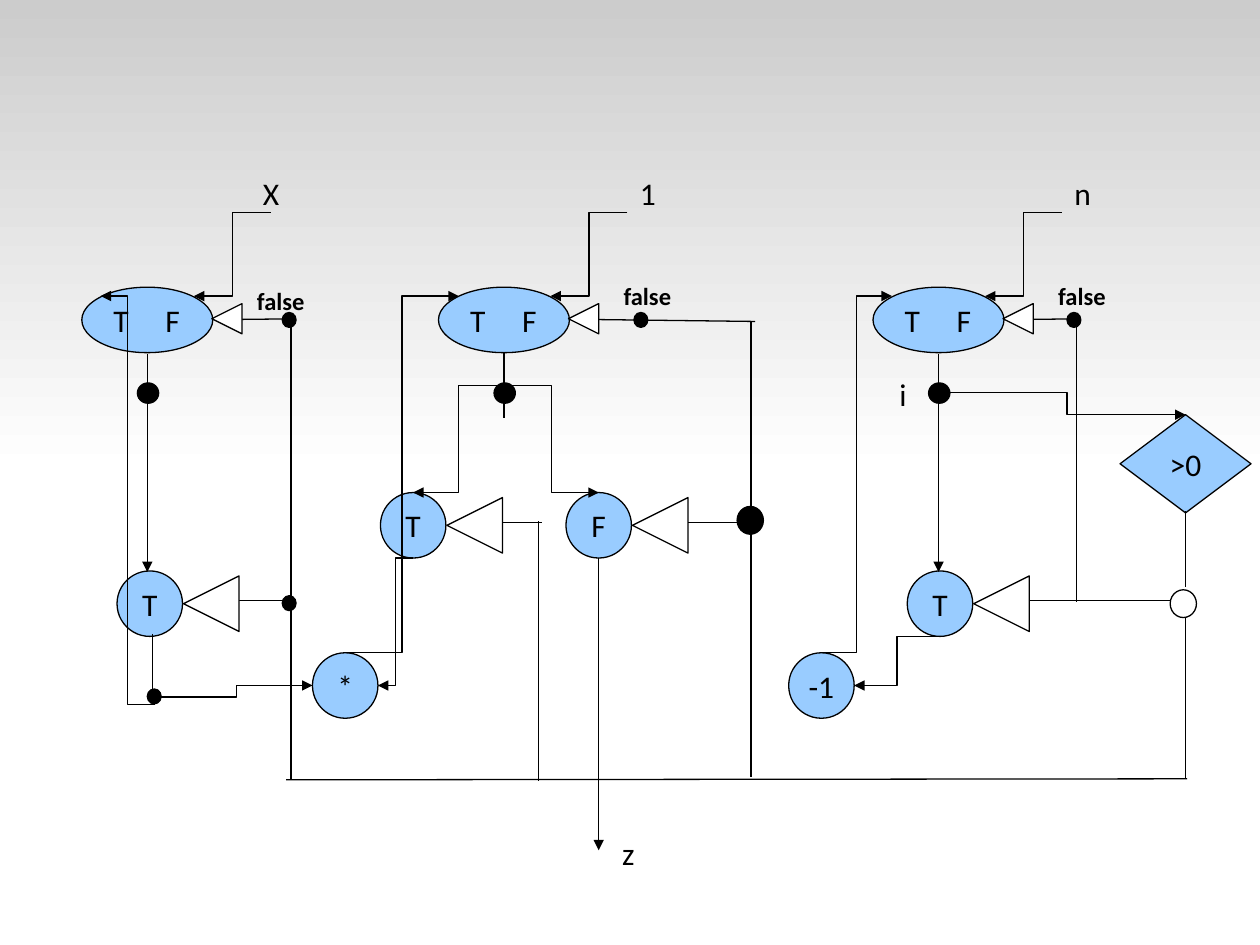
from dataclasses import dataclass
from typing import Any

from lxml import etree
from pptx import Presentation
from pptx import util as u
from pptx.dml import color
from pptx.enum import shapes, text
from pptx.oxml import ns

KIND = shapes.MSO_SHAPE
CIRCLE = 1.32
JUNCTION = (0.53, 0.56)


@dataclass(frozen=True)
class Theme:
    ink: str = "000000"
    node: str = "99CCFF"
    paper: str = "FFFFFF"
    shade: str = "CCCCCC"
    font: str = "Calibri"
    size: int = 18
    small: int = 14
    stroke: float = 0.75


THEME = Theme()


def rgb(value):
    return color.RGBColor.from_string(value)


def write(frame, words, size=THEME.size, bold=False):
    para = frame.paragraphs[0]
    para.text = words
    para.font.name = THEME.font
    para.font.size = u.Pt(size)
    para.font.bold = bold
    para.font.color.rgb = rgb(THEME.ink)
    return para


@dataclass
class Region:
    page: Any
    left: float
    top: float

    def place(self, x, y):
        return u.Cm(self.left + x), u.Cm(self.top + y)

    def shape(self, kind, x, y, width, height, fill=THEME.node):
        item = self.page.shapes.add_shape(
            kind, *self.place(x, y), u.Cm(width), u.Cm(height))
        item.shadow.inherit = False
        item.fill.solid()
        item.fill.fore_color.rgb = rgb(fill)
        item.line.color.rgb = rgb(THEME.ink)
        item.line.width = u.Pt(THEME.stroke)
        return item

    def node(self, words, x, y, kind=KIND.OVAL, width=CIRCLE, height=CIRCLE):
        frame = self.shape(kind, x, y, width, height).text_frame
        frame.word_wrap = False
        frame.vertical_anchor = text.MSO_ANCHOR.MIDDLE
        write(frame, words).alignment = text.PP_ALIGN.CENTER
        return frame

    def dot(self, x, y, size=(0.28, 0.3), fill=THEME.ink):
        self.shape(KIND.OVAL, x, y, *size, fill)

    def port(self, x, y, size):
        self.shape(KIND.ISOSCELES_TRIANGLE, x, y, size, size, THEME.paper).rotation = 270

    def wire(self, start, end, arrow=False, bent=False):
        kind = shapes.MSO_CONNECTOR.ELBOW if bent else shapes.MSO_CONNECTOR.STRAIGHT
        item = self.page.shapes.add_connector(kind, *self.place(*start), *self.place(*end))
        item.line.color.rgb = rgb(THEME.ink)
        item.line.width = u.Pt(THEME.stroke)
        if arrow:
            line = item.line._get_or_add_ln()
            etree.SubElement(line, ns.qn("a:tailEnd"), type="triangle")
        etree.SubElement(item._element.spPr, ns.qn("a:effectLst"))

    def route(self, start, end):
        self.wire(start, end, arrow=True, bent=True)

    def label(self, words, x, y, width=0.95, size=THEME.size, bold=False):
        box = self.page.shapes.add_textbox(*self.place(x, y), u.Cm(width), u.Cm(1.04))
        box.text_frame.word_wrap = True
        write(box.text_frame, words, size, bold)


def draw_merge(area, source, source_x, false_at, dot_x, lead=None):
    frame = area.node("T\tF", 0, 0, width=2.64)
    frame.word_wrap = True
    frame.margin_left, frame.margin_right = u.Cm(0.25), 0
    para = frame.paragraphs[0]
    para.alignment = text.PP_ALIGN.LEFT
    stops = etree.Element(ns.qn("a:tabLst"))
    etree.SubElement(stops, ns.qn("a:tab"), pos=str(u.Cm(1.05)), algn="l")
    para._p.get_or_add_pPr().insert(0, stops)

    area.wire(lead or (dot_x, 0.64), (3.05, 0.65))
    area.port(2.62, 0.33, 0.61)
    area.dot(dot_x, 0.51)
    area.dot(1.12, 1.93, (0.43, 0.41))
    area.route((3.81, -1.5), (2.26, 0.18))
    area.label(source, source_x, -2.41)
    area.label("false", *false_at, 1.93, THEME.small, True)


def draw_gate(area, words, x, y, control_end):
    area.node(words, x, y)
    area.wire((x + 2.2, y + 0.6), (control_end, y + 0.6))
    area.port(x + 1.34, y + 0.1, 1.12)


def draw_base(area):
    draw_merge(area, "X", 3.4, (3.28, -0.15), 4.04)
    draw_gate(area, "T", 0.71, 5.72, 4.27)
    area.wire((1.32, 1.35), (1.32, 5.74), arrow=True)
    area.wire((4.22, 0.69), (4.22, 9.91))
    area.dot(4.04, 6.22)
    area.wire((1.42, 6.99), (1.42, 8.2))
    area.dot(1.32, 8.1)
    area.route((1.47, 8.41), (0.38, 0.18))
    area.route((1.6, 8.26), (4.65, 8.03))


def draw_product(area):
    draw_merge(area, "1", 3.81, (3.48, -0.25), 3.94, lead=(6.38, 0.69))
    draw_gate(area, "T", -1.17, 4.14, 2.08)
    draw_gate(area, "F", 2.57, 4.14, 6.25)
    area.node("*", -2.54, 7.37)
    area.dot(6.02, 4.42, JUNCTION)
    area.wire((6.3, 0.69), (6.3, 9.88))
    area.wire((2.01, 4.72), (2.01, 9.96))
    area.wire((1.32, 1.32), (1.32, 2.64))
    for gate_x in (-0.51, 3.23):
        area.route((1.32, 1.98), (gate_x, 4.14))
    area.route((-0.51, 5.46), (-1.22, 8.03))
    area.route((-1.88, 7.37), (0.41, 0.18))
    area.wire((3.23, 5.46), (3.23, 11.35), arrow=True)
    area.label("z", 3.45, 10.9)


def draw_counter(area):
    draw_merge(area, "n", 3.81, (3.48, -0.25), 3.91)
    draw_gate(area, "T", 0.69, 5.72, 6.32)
    area.node("-1", -1.7, 7.37)
    area.node(">0", 4.98, 2.57, KIND.DIAMOND, 2.64, 1.98)
    area.wire((1.32, 1.35), (1.32, 5.74), arrow=True)
    area.wire((4.1, 0.69), (4.1, 6.35))
    area.wire((6.3, 4.52), (6.3, 6.05))
    area.wire((6.3, 6.6), (6.3, 9.91))
    area.dot(5.99, 6.1, JUNCTION, THEME.paper)
    area.route((1.35, 7.04), (-0.38, 8.03))
    area.route((-1.04, 7.37), (0.38, 0.18))
    area.route((1.52, 2.13), (6.3, 2.57))
    area.label("i", 0.28, 1.65, 0.71)


def draw_backdrop(area, width, height):
    band = area.shape(KIND.RECTANGLE, 0, 0, width, height)
    band.line.fill.background()
    band.fill.gradient()
    band.fill.gradient_angle = 270
    for stop, tint, position in zip(
            band.fill.gradient_stops, (THEME.shade, THEME.paper), (0, 1)):
        stop.color.rgb = rgb(tint)
        stop.position = position


def main():
    deck = Presentation()
    deck.slide_width, deck.slide_height = u.Cm(25.4), u.Cm(19.05)
    page = deck.slides.add_slide(deck.slide_layouts[6])
    whole = Region(page, 0, 0)
    draw_backdrop(whole, 25.4, 9.53)
    for draw, left in ((draw_counter, 17.6), (draw_product, 8.84), (draw_base, 1.65)):
        draw(Region(page, left, 5.79))
    whole.wire((23.93, 15.7), (5.77, 15.72))
    deck.save("out.pptx")


if __name__ == "__main__":
    main()
